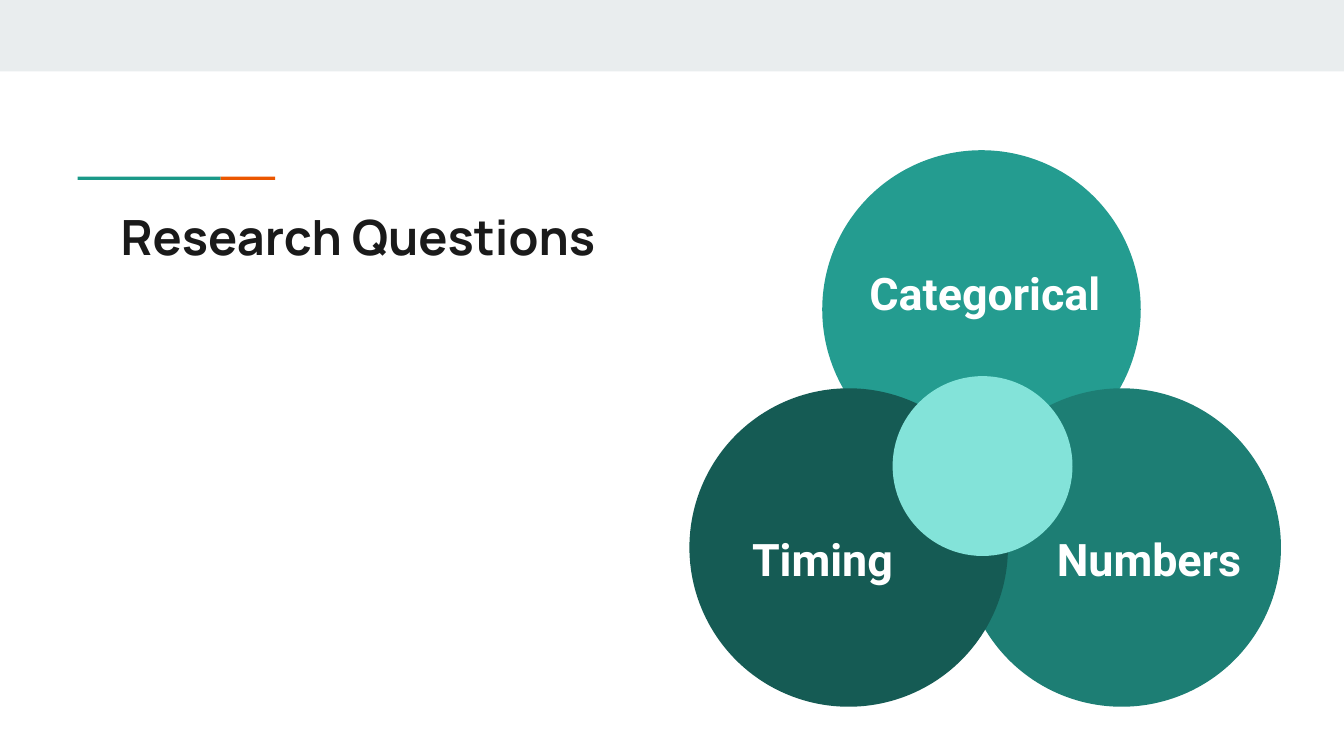
from pptx import Presentation
from pptx.dml.color import RGBColor
from pptx.enum.shapes import MSO_SHAPE
from pptx.enum.text import MSO_ANCHOR, PP_ALIGN
from pptx.util import Cm, Pt

RECT, OVAL = MSO_SHAPE.RECTANGLE, MSO_SHAPE.OVAL
LEFT, CENTER = PP_ALIGN.LEFT, PP_ALIGN.CENTER
TOP, MIDDLE = MSO_ANCHOR.TOP, MSO_ANCHOR.MIDDLE

COLORS = {
    "band": "E9EDEE", "orange": "EB5600", "teal": "1A9988",
    "ink": "1A1A1A", "white": "FFFFFF", "light": "249C90",
    "mid": "1D7E74", "dark": "155B54", "mint": "83E3D9",
}
TITLE = {"name": "Manrope", "size": Pt(26), "bold": True}
LABEL = {"name": "Roboto", "size": Pt(24), "bold": True}

# Circles: left, top, colour, text, label offset x, y, label width
DISCS = [
    (2.51, 0, "light", "Categorical", 0.56, 1.71, 5.03),
    (5.16, 4.5, "mid", "Numbers", 1.44, 2.24, 4.17),
    (0, 4.5, "dark", "Timing", 0.43, 2.24, 4.17),
]
DISC = 6.02
CORE = 3.4


def color(name):
    return RGBColor.from_string(COLORS[name])


def draw(slide, kind, box, fill):
    shape = slide.shapes.add_shape(kind, *map(Cm, box))
    shape.shadow.inherit = False
    shape.fill.solid()
    shape.fill.fore_color.rgb = color(fill)
    shape.line.fill.background()


def write(shape, text, style, ink, align, anchor):
    frame = shape.text_frame
    frame.text = text
    frame.word_wrap = True
    frame.vertical_anchor = anchor
    for side in ("left", "top", "right", "bottom"):
        setattr(frame, "margin_" + side, Cm(0.25))
    para = frame.paragraphs[0]
    para.alignment = align
    font = para.runs[0].font
    for key, value in style.items():
        setattr(font, key, value)
    font.color.rgb = color(ink)


def add_head(slide, left, top, width, height):
    # Two-colour rule above the title
    draw(slide, RECT, (left, top, 2.7, 0.06), "teal")
    draw(slide, RECT, (left + 2.7, top, 1.03, 0.06), "orange")
    # Title
    title = slide.shapes.title
    title.left, title.top = Cm(left + 0.56), Cm(top + 0.32)
    title.width, title.height = Cm(width), Cm(height)
    write(title, "Research Questions", TITLE, "ink", LEFT, TOP)


def add_venn(slide, left, top):
    # Outer circles with labels
    for dx, dy, fill, text, tx, ty, width in DISCS:
        x, y = left + dx, top + dy
        draw(slide, OVAL, (x, y, DISC, DISC), fill)
        label = slide.shapes.add_textbox(
            Cm(x + tx), Cm(y + ty), Cm(width), Cm(1.96))
        write(label, text, LABEL, "white", CENTER, MIDDLE)
    # Core circle
    draw(slide, OVAL, (left + 3.84, top + 4.27, CORE, CORE), "mint")


deck = Presentation()
deck.slide_width, deck.slide_height = Cm(25.4), Cm(14.29)
slide = deck.slides.add_slide(deck.slide_layouts[5])

# Top band
draw(slide, RECT, (0, 0, 25.4, 1.35), "band")
add_head(slide, 1.47, 3.34, 21.36, 1.5)
add_venn(slide, 13.03, 2.84)

deck.save("out.pptx")
